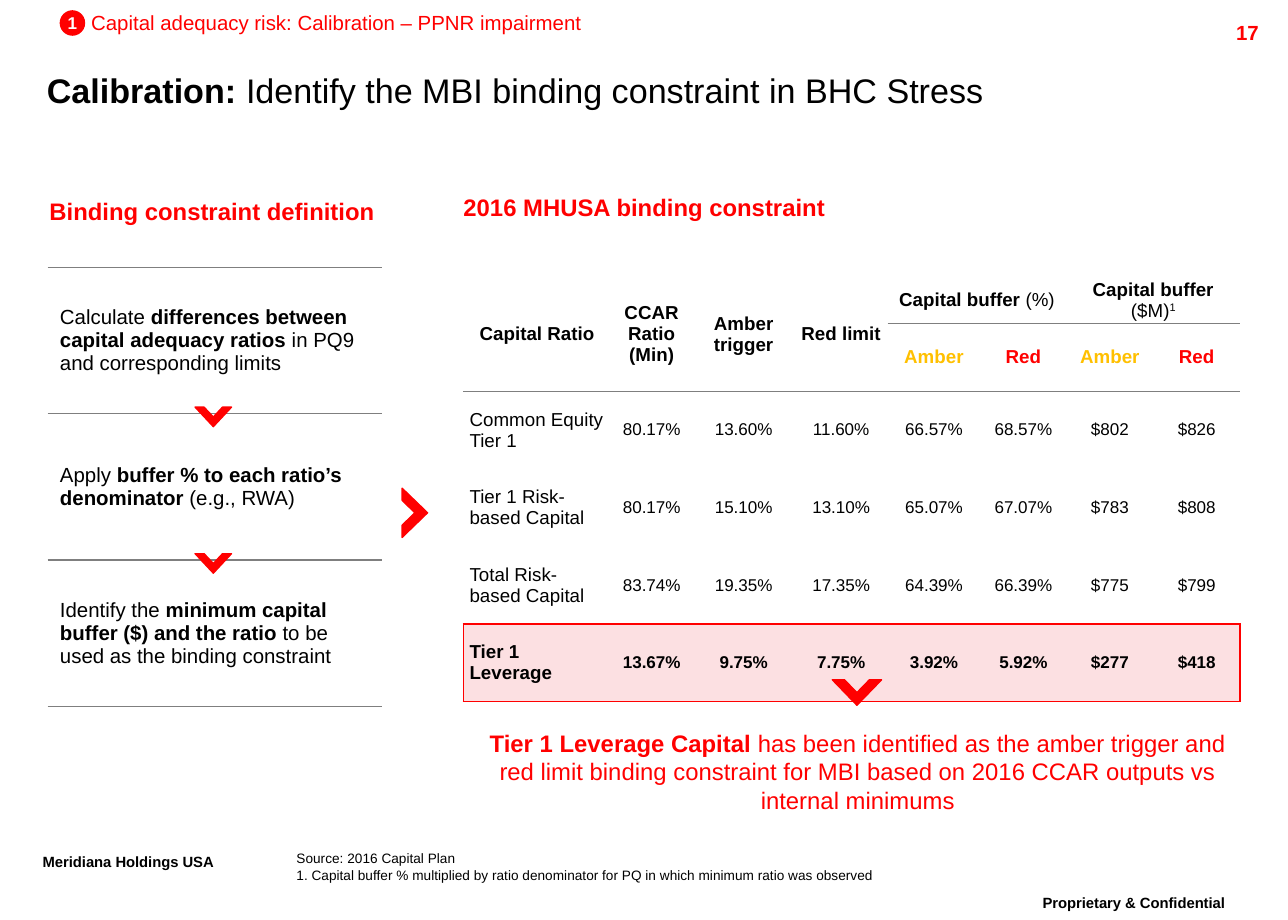
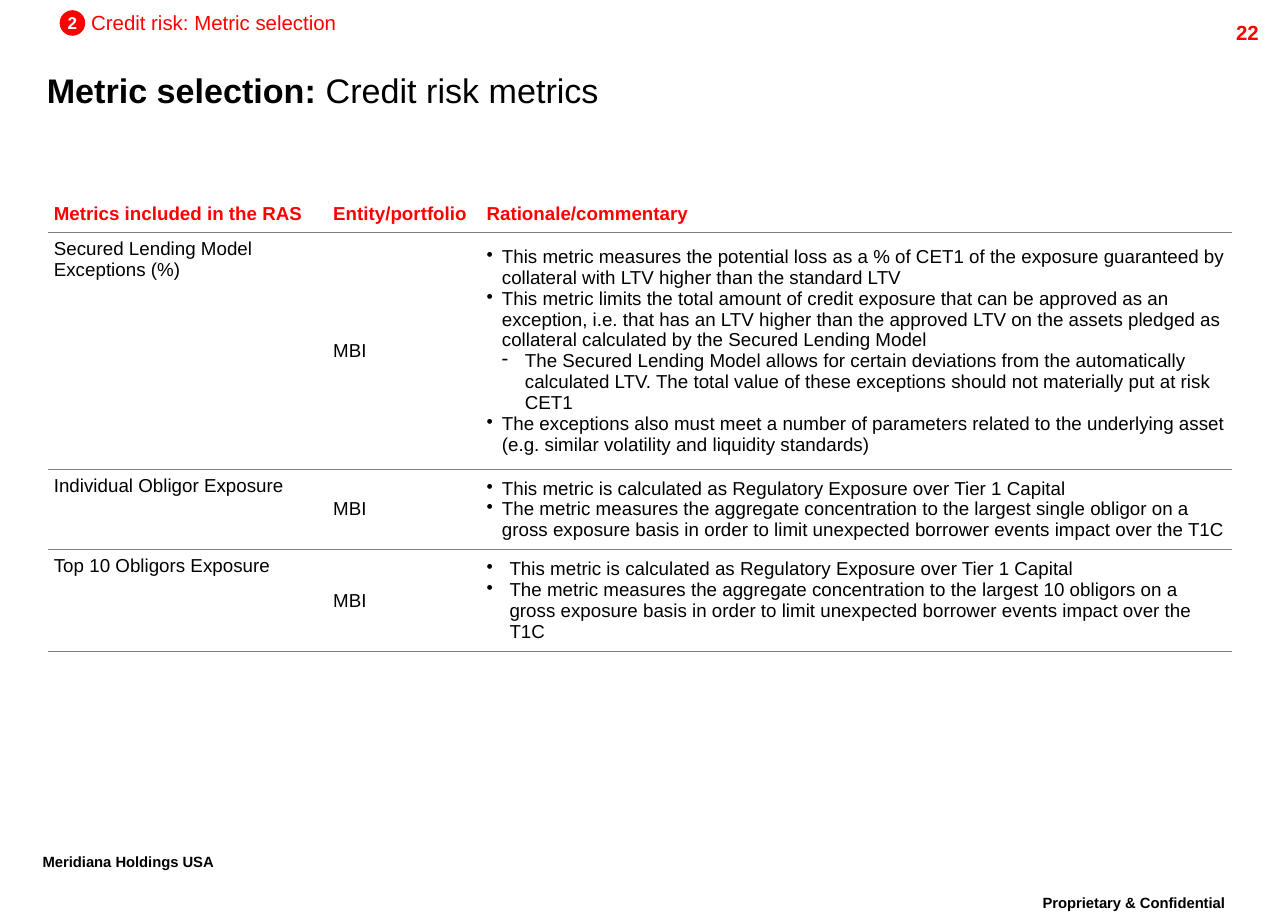
import pptx
import pptx.dml.color
import pptx.enum.shapes
import pptx.enum.text
import pptx.oxml
import pptx.oxml.ns
import pptx.util

Pt = pptx.util.Pt
ALIGN = pptx.enum.text.PP_ALIGN
ANCHOR = pptx.enum.text.MSO_ANCHOR
RED, BLACK, WHITE = "FF0000", "000000", "FFFFFF"
GRAY, AMBER, PINK = "7F7F7F", "FFC000", "FCE0E2"
PLAIN = "{2D5ABB26-0587-4C30-8999-92F81FD0307C}"

RATIOS = [
    ["Common Equity Tier 1", "80.17%", "13.60%", "11.60%", "66.57%", "68.57%", "$802", "$826"],
    ["Tier 1 Risk-based Capital", "80.17%", "15.10%", "13.10%", "65.07%", "67.07%", "$783", "$808"],
    ["Total Risk-based Capital", "83.74%", "19.35%", "17.35%", "64.39%", "66.39%", "$775", "$799"],
    ["Tier 1 Leverage", "13.67%", "9.75%", "7.75%", "3.92%", "5.92%", "$277", "$418"],
]
STEPS = [
    "Calculate *differences between capital adequacy ratios* in PQ9 and corresponding limits",
    "Apply *buffer % to each ratio’s denominator* (e.g., RWA)",
    "Identify the *minimum capital buffer ($) and the ratio* to be used as the binding constraint",
]
METRICS = [
    ("Secured Lending Model Exceptions (%)", 139, 9, [
        "This metric measures the potential loss as a % of CET1 of the exposure guaranteed by collateral with LTV higher than the standard LTV",
        "This metric limits the total amount of credit exposure that can be approved as an exception, i.e. that has an LTV higher than the approved LTV on the assets pledged as collateral calculated by the Secured Lending Model",
        "-The Secured Lending Model allows for certain deviations from the automatically calculated LTV. The total value of these exceptions should not materially put at risk CET1",
        "The exceptions also must meet a number of parameters related to the underlying asset (e.g. similar volatility and liquidity standards)",
    ]),
    ("Individual Obligor Exposure", 46.5, 9, [
        "This metric is calculated as Regulatory Exposure over Tier 1 Capital",
        "The metric measures the aggregate concentration to the largest single obligor on a gross exposure basis in order to limit unexpected borrower events impact over the T1C",
    ]),
    ("Top 10 Obligors Exposure", 60, 13.5, [
        "This metric is calculated as Regulatory Exposure over Tier 1 Capital",
        "The metric measures the aggregate concentration to the largest 10 obligors on a gross exposure basis in order to limit unexpected borrower events impact over the T1C",
    ]),
]


def color(hue):
    return pptx.dml.color.RGBColor.from_string(hue)


def add(para, text, size, hue=BLACK, bold=False, lift=0):
    run = para.add_run()
    run.text = text
    font = run.font
    font.name, font.size, font.bold = "Arial", Pt(size), bold
    font.color.rgb = color(hue)
    if lift:
        run._r.get_or_add_rPr().set("baseline", str(lift * 1000))


def write(frame, text, size, hue=BLACK, bold=False, align=ALIGN.LEFT, lift=0, lead=None):
    for i, line in enumerate(text.split("\n")):
        para = frame.add_paragraph() if i else frame.paragraphs[0]
        para.alignment = align
        if lead:
            para.line_spacing = lead
        for j, part in enumerate(line.split("*")):
            if part:
                add(para, part, size, hue, bold or j % 2 == 1, lift)


def inset(item, side, top):
    item.margin_left = item.margin_right = Pt(side)
    item.margin_top = item.margin_bottom = Pt(top)


def label(slide, box, text, size, side=0, top=0, **style):
    frame = slide.shapes.add_textbox(*map(Pt, box)).text_frame
    frame.word_wrap = True
    inset(frame, side, top)
    write(frame, text, size, **style)


def paint(shape, hue):
    shape.shadow.inherit = False
    shape.fill.solid()
    shape.fill.fore_color.rgb = color(hue)
    shape.line.color.rgb = color(hue)
    shape.line.width = Pt(0.75)


def arrow(slide, left, top, span, depth, down=False):
    dots = [(0, 0), (0, span / 4), (depth / 2, span / 2),
            (0, span * 3 / 4), (0, span), (depth, span / 2)]
    if down:
        dots = [(y, x) for x, y in dots]
    dots = [(Pt(left + x), Pt(top + y)) for x, y in dots]
    form = slide.shapes.build_freeform(*dots[0])
    form.add_line_segments(dots[1:], close=True)
    paint(form.convert_to_shape(), RED)


def grid(slide, left, top, cols, rows):
    shape = slide.shapes.add_table(len(rows), len(cols), Pt(left), Pt(top),
                                   Pt(sum(cols)), Pt(sum(rows)))
    table = shape.table
    table.first_row = table.horz_banding = False
    table._tbl.tblPr[0].text = PLAIN
    for col, width in zip(table.columns, cols):
        col.width = Pt(width)
    for row, height in zip(table.rows, rows):
        row.height = Pt(height)
    return table


def put(cell, text, size, side=3.6, top=0, anchor=ANCHOR.MIDDLE, back=WHITE, **style):
    inset(cell, side, top)
    cell.vertical_anchor = anchor
    cell.fill.solid()
    cell.fill.fore_color.rgb = color(back)
    write(cell.text_frame, text, size, **style)


def edge(cell, sides, hue=GRAY, width=0.75):
    props = cell._tc.get_or_add_tcPr()
    for i, side in enumerate(sides):
        props.insert(i, pptx.oxml.parse_xml(
            f'<a:ln{side} {pptx.oxml.ns.nsdecls("a")} w="{Pt(width)}">'
            f'<a:solidFill><a:srgbClr val="{hue}"/></a:solidFill></a:ln{side}>'))


def dent(para, left, hang, mark):
    props = para._p.get_or_add_pPr()
    props.set("marL", str(Pt(left)))
    props.set("indent", str(-Pt(hang)))
    space = pptx.oxml.ns.nsdecls("a")
    for xml in (f'<a:buClr {space}><a:srgbClr val="{BLACK}"/></a:buClr>',
                f'<a:buChar {space} char="{mark}"/>'):
        props.append(pptx.oxml.parse_xml(xml))


def start(deck, part, topic, title, page):
    slide = deck.slides.add_slide(deck.slide_layouts[5])
    head = slide.shapes.title
    head.left, head.top, head.width, head.height = map(Pt, (27.5, 35.5, 682.5, 34.5))
    frame = head.text_frame
    frame.auto_size = pptx.enum.text.MSO_AUTO_SIZE.NONE
    frame.vertical_anchor = ANCHOR.MIDDLE
    inset(frame, 0, 0)
    write(frame, title, 20)
    label(slide, (587, 522, 157, 25), "Proprietary & Confidential", 15, 7.2, 3.6,
          bold=True, align=ALIGN.CENTER, lift=30, lead=0.86)
    label(slide, (18, 497.5, 150, 25), "Meridiana Holdings USA", 15, 7.2, 3.6,
          bold=True, lift=30, lead=0.86)
    label(slide, (674, 8, 72, 17), page, 12, 7.2, 3.6, hue=RED, bold=True, align=ALIGN.RIGHT)
    label(slide, (53.5, 6, 400, 14), topic, 12, hue=RED)
    dot = slide.shapes.add_shape(pptx.enum.shapes.MSO_SHAPE.OVAL, *map(Pt, (35, 6, 15, 15)))
    paint(dot, RED)
    dot.line.fill.background()
    frame = dot.text_frame
    frame.word_wrap = False
    frame.vertical_anchor = ANCHOR.MIDDLE
    inset(frame, 0, 0)
    write(frame, part, 10, WHITE, True, ALIGN.CENTER)
    return slide


def steps(slide):
    table = grid(slide, 28, 156.75, [196], [86] * 3)
    for i, step in enumerate(STEPS):
        cell = table.cell(i, 0)
        put(cell, step, 12, 7.2, 3.6)
        edge(cell, "TB")
    for i in (1, 2):
        arrow(slide, 114.5, 153 + 86 * i, 21.5, 11.5, down=True)


def ratios(slide):
    table = grid(slide, 272, 162.75, [86.5, 48, 60, 54.5, 54.5, 50.5, 51, 51],
                 [27, 40] + [45.5] * 4)
    mid = {"align": ALIGN.CENTER}
    heads = ["Capital Ratio", "CCAR Ratio\n(Min)", "Amber trigger", "Red limit"]
    for c, text in enumerate(heads):
        table.cell(0, c).merge(table.cell(1, c))
        put(table.cell(0, c), text, 11, bold=True, **mid)
    for c, unit in ((4, "%"), (6, "$M")):
        table.cell(0, c).merge(table.cell(0, c + 1))
        put(table.cell(0, c), f"*Capital buffer* ({unit})", 11, **mid)
        put(table.cell(1, c), "Amber", 11, hue=AMBER, bold=True, **mid)
        put(table.cell(1, c + 1), "Red", 11, hue=RED, bold=True, **mid)
    add(table.cell(0, 6).text_frame.paragraphs[0], "1", 11, lift=30)
    for c in range(8):
        edge(table.cell(0, c), "B", width=1)
        edge(table.cell(1, c), "TB" if c > 3 else "B", width=1)
    for r, row in enumerate(RATIOS, 2):
        last = r == 5
        look = {"bold": last, "back": PINK if last else WHITE}
        for c, text in enumerate(row):
            cell = table.cell(r, c)
            if c:
                put(cell, text, 10, 0, **look, **mid)
            else:
                put(cell, text, 11, **look)
            if last:
                edge(cell, {0: "LTB", 7: "RTB"}.get(c, "TB"), RED, 1)
            elif r == 4:
                edge(cell, "B", RED, 1)


def metrics(slide):
    table = grid(slide, 28, 115.25, [164, 90, 441], [21] + [m[1] for m in METRICS])
    heads = ["Metrics included in the RAS", "Entity/portfolio", "Rationale/commentary"]
    for c, text in enumerate(heads):
        put(table.cell(0, c), text, 11, top=3.6, hue=RED, bold=True)
        edge(table.cell(0, c), "B")
    for r, (name, _, hang, notes) in enumerate(METRICS, 1):
        put(table.cell(r, 0), name, 11, top=3.6, anchor=ANCHOR.TOP)
        put(table.cell(r, 1), "MBI", 11, top=3.6)
        cell = table.cell(r, 2)
        put(cell, "\n".join(n.lstrip("-") for n in notes), 11, top=3.6)
        for para, note in zip(cell.text_frame.paragraphs, notes):
            if note.startswith("-"):
                dent(para, 22.5, 13.5, "-")
            else:
                dent(para, hang, hang, "•")
        for c in range(3):
            edge(table.cell(r, c), "TB")


def main():
    deck = pptx.Presentation()
    deck.slide_width, deck.slide_height = Pt(756), Pt(540)

    slide = start(deck, "1", "Capital adequacy risk: Calibration – PPNR impairment",
                  "*Calibration: *Identify the MBI binding constraint in BHC Stress", "17")
    label(slide, (29, 115.25, 223, 27), "Binding constraint definition", 14, hue=RED, bold=True)
    label(slide, (272, 115.25, 414, 15), "2016 MHUSA binding constraint", 14,
          hue=RED, bold=True, lead=0.86)
    steps(slide)
    arrow(slide, 236, 286.5, 29, 15, down=False)
    ratios(slide)
    arrow(slide, 488.5, 399, 29, 15, down=True)
    label(slide, (279, 427.5, 449, 51),
          "*Tier 1 Leverage Capital *has been identified as the amber trigger and red limit "
          "binding constraint for MBI based on 2016 CCAR outputs vs internal minimums",
          14, hue=RED, align=ALIGN.CENTER)
    label(slide, (174, 499, 400, 20),
          "Source: 2016 Capital Plan\n1. Capital buffer % multiplied by ratio denominator "
          "for PQ in which minimum ratio was observed", 8)

    slide = start(deck, "2", "Credit risk: Metric selection",
                  "*Metric selection: *Credit risk metrics", "22")
    metrics(slide)
    deck.save("out.pptx")


if __name__ == "__main__":
    main()
